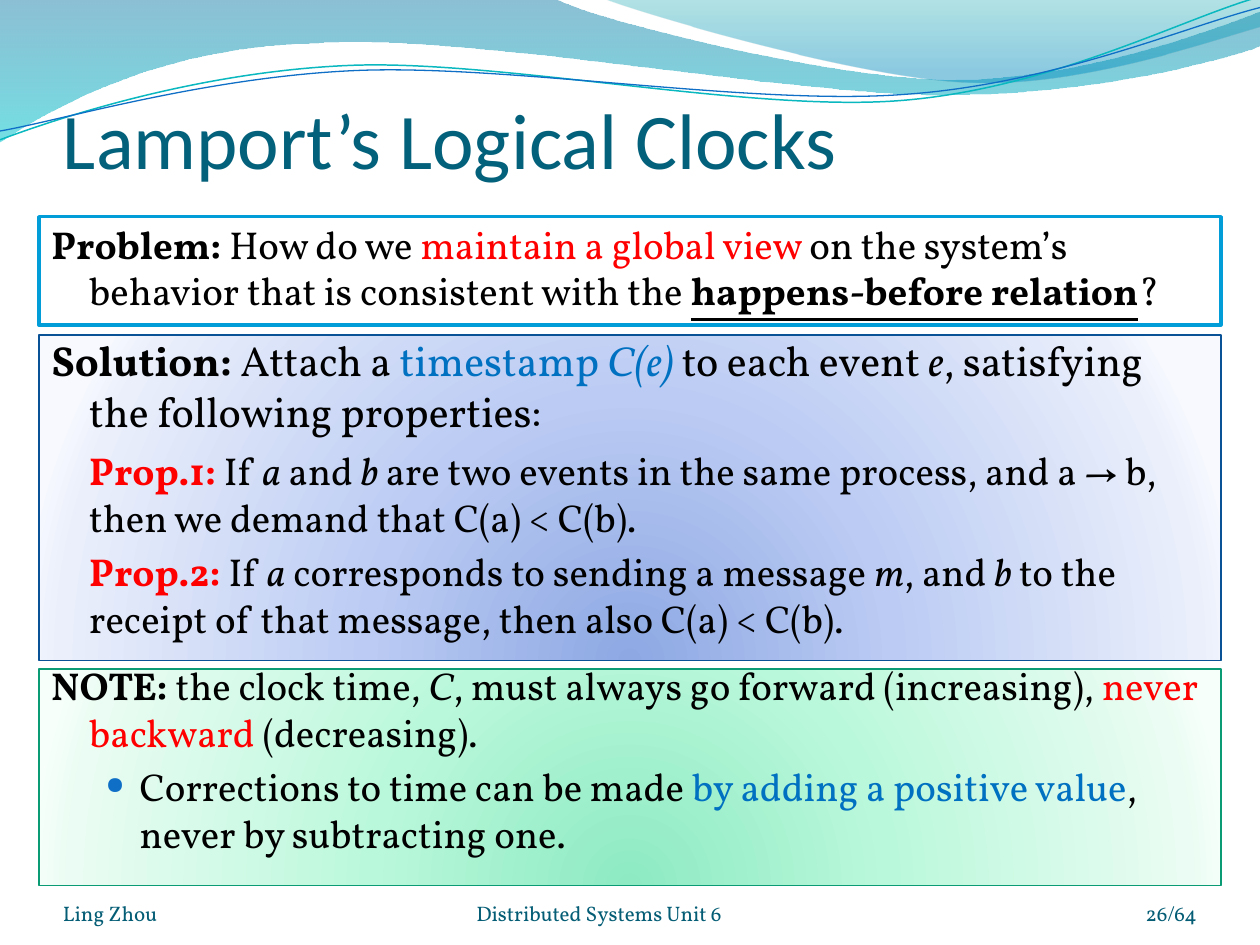
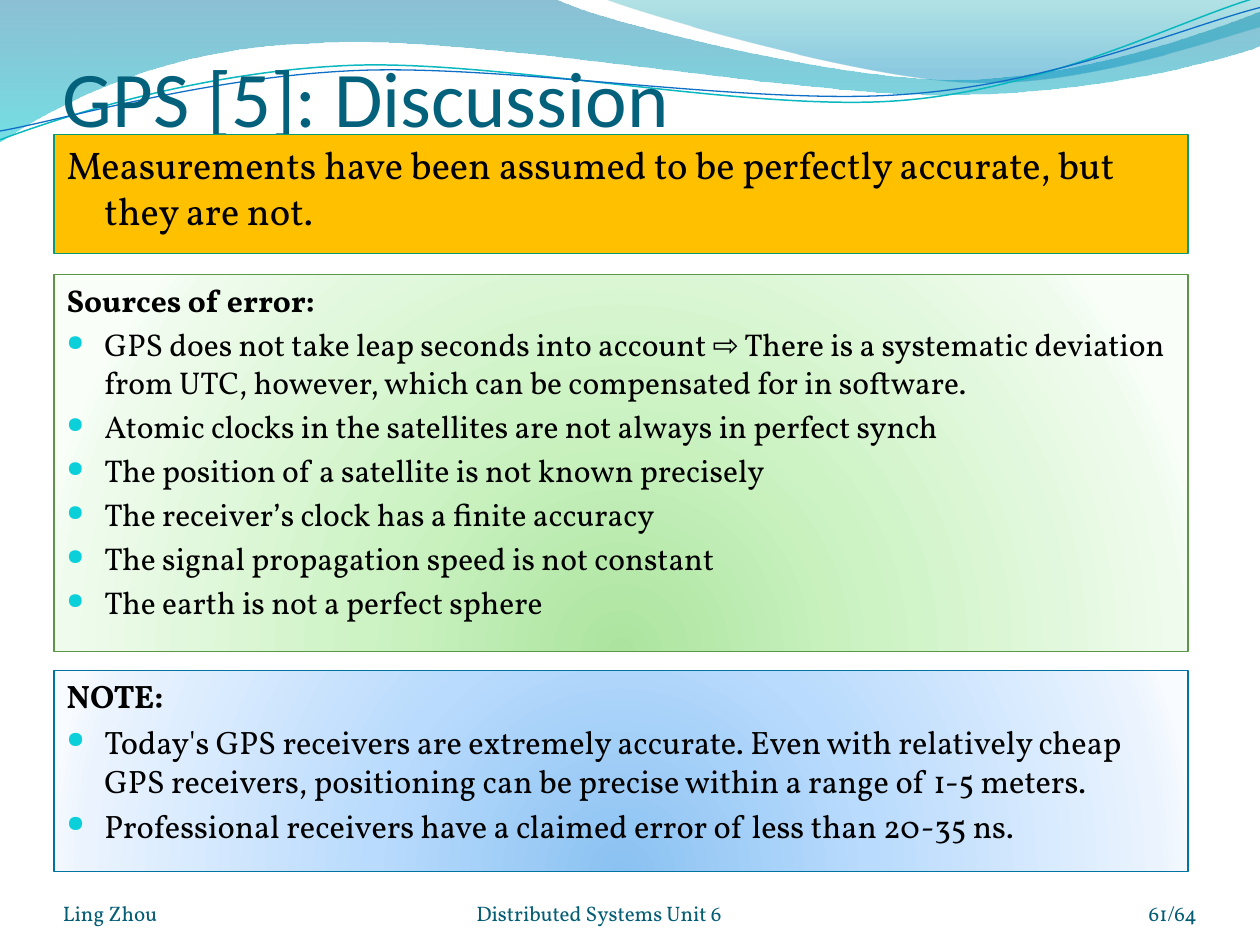
from dataclasses import dataclass

import lxml.etree
import pptx
import pptx.dml.color
import pptx.enum.shapes
import pptx.enum.text
import pptx.oxml.ns
import pptx.util

Inches, Pt = pptx.util.Inches, pptx.util.Pt
qn = pptx.oxml.ns.qn
ALIGN, ANCHOR = pptx.enum.text.PP_ALIGN, pptx.enum.text.MSO_ANCHOR


@dataclass(frozen=True)
class Theme:
    title_font: str = "Calibri"
    body_font: str = "Vollkorn"
    title_size: float = 45
    large_size: float = 24
    footer_size: float = 12
    title: str = "04617B"
    footer: str = "045D75"
    text: str = "000000"
    red: str = "FF0000"
    blue: str = "0070C0"
    bullet: str = "0BD0D9"
    sub_bullet: str = "0F6FC6"


@dataclass(frozen=True)
class Panel:
    """Look of a panel: one fill colour or the colours of a glow, and its edge."""
    fill: tuple
    line: str
    width: float = 0.75


THEME = Theme()
GLOW_STOPS = (0, 43, 93, 100)
WHITE = Panel(("FFFFFF",), "009DD9", 2)
AMBER = Panel(("FFC000",), "0A9B74")
MINT = Panel(("8DEAC2", "BAF8DB", "EAFCF3", "F7FFFB"), "0A9B74")
INDIGO = Panel(("8DA8E3", "BBCBF3", "EAEFFB", "F7F9FF"), "095295")
GREEN = Panel(("ACE49F", "CDF3C4", "EFFBED", "F9FFF8"), "5B9747")
SKY = Panel(("8BC2F1", "B9DBFD", "EAF3FE", "F8FBFF"), "0074A1")

# Each outline: a start point, then lines (2 numbers) and Bezier curves (6 numbers).
WAVE_BANDS = [
    ([(0, 0), (4.4, -0.01), (4.76, 0.17, 6.64, 0.63, 7.58, 0.63),
      (8.53, 0.63, 9.58, 0.26, 10, 0.09), (10.01, 0.36),
      (9.83, 0.44, 8.7, 0.76, 7.46, 0.75), (6.22, 0.75, 3.82, 0.28, 2.57, 0.34),
      (1.29, 0.36, 0.46, 0.83, -0.01, 1.13), (0, 0)],
     [(0, "0074A1", 45), (100, "00C6CF", 55)]),
    ([(4.79, -0.01), (5.09, 0.11, 6.82, 0.62, 7.69, 0.65),
      (8.56, 0.69, 9.61, 0.32, 10, 0.21), (10, 0), (4.79, -0.01)],
     [(0, "00A1A9", 30), (80, "008BBF", 45)]),
]
WAVE_LINES = [
    ([(0, 1.11), (0.48, 0.93, 1.58, 0.57, 2.77, 0.52),
      (3.95, 0.47, 5.93, 0.89, 7.13, 0.8), (8.33, 0.71, 9.38, 0.15, 9.98, -0.02)],
     "0AB8BF", 0.85),
    ([(0, 1.04), (0.47, 0.96, 1.64, 0.61, 2.83, 0.56),
      (4.03, 0.51, 5.97, 0.84, 7.17, 0.75), (8.36, 0.67, 9.41, 0.21, 10, 0.06)],
     "0F6FC6", 0.75),
]


def rgb(value):
    return pptx.dml.color.RGBColor.from_string(value)


def add_node(parent, tag, **attrs):
    node = lxml.etree.SubElement(parent, qn(tag))
    for key, value in attrs.items():
        node.set(key, str(value))
    return node


def add_color(parent, color, alpha=100):
    node = add_node(parent, "a:srgbClr", val=color)
    if alpha < 100:
        add_node(node, "a:alpha", val=alpha * 1000)


def set_gradient(sp, stops, glow=False):
    """Fill from top to bottom, or as a glow centred below the shape."""
    sp.fill.gradient()
    grad = sp._element.spPr.find(qn("a:gradFill"))
    for child in list(grad):
        grad.remove(child)
    stop_list = add_node(grad, "a:gsLst")
    for position, color, alpha in stops:
        add_color(add_node(stop_list, "a:gs", pos=position * 1000), color, alpha)
    if glow:
        circle = add_node(grad, "a:path", path="circle")
        add_node(circle, "a:fillToRect", l=50000, t=130000, r=50000, b=-30000)
    else:
        add_node(grad, "a:lin", ang=5400000, scaled=1)


def add_outline(slide, outline, close):
    """Lay all points as straight segments, then join threes into curves."""
    points = [(Inches(seg[i]), Inches(seg[i + 1]))
              for seg in outline for i in range(0, len(seg), 2)]
    builder = slide.shapes.build_freeform(*points[0])
    builder.add_line_segments(points[1:], close=close)
    sp = builder.convert_to_shape()
    sp.shadow.inherit = False
    steps = sp._element.spPr.findall(".//" + qn("a:lnTo"))
    for seg in outline[1:]:
        group, steps = steps[:len(seg) // 2], steps[len(seg) // 2:]
        if len(group) == 3:
            curve = lxml.etree.Element(qn("a:cubicBezTo"))
            group[0].addprevious(curve)
            for step in group:
                curve.append(step[0])
                step.getparent().remove(step)
    return sp


def add_waves(slide):
    for outline, stops in WAVE_BANDS:
        sp = add_outline(slide, outline, close=True)
        set_gradient(sp, stops)
        sp.line.fill.background()
    for outline, color, width in WAVE_LINES:
        sp = add_outline(slide, outline, close=False)
        sp.fill.background()
        sp.line.color.rgb = rgb(color)
        sp.line.width = Pt(width)


def add_panel(slide, box, look):
    sp = slide.shapes.add_shape(pptx.enum.shapes.MSO_SHAPE.RECTANGLE,
                                *map(Inches, box))
    sp.shadow.inherit = False
    if len(look.fill) == 1:
        sp.fill.solid()
        sp.fill.fore_color.rgb = rgb(look.fill[0])
    else:
        set_gradient(sp, [(s, c, 100) for s, c in zip(GLOW_STOPS, look.fill)], glow=True)
    sp.line.color.rgb = rgb(look.line)
    sp.line.width = Pt(look.width)
    return sp


def add_label(slide, box, text, size, font, color, align=ALIGN.LEFT, top_inset=0):
    tf = slide.shapes.add_textbox(*map(Inches, box)).text_frame
    tf.word_wrap = True
    tf.vertical_anchor = ANCHOR.BOTTOM
    tf.margin_left = tf.margin_right = tf.margin_bottom = 0
    tf.margin_top = Inches(top_inset)
    tf.text = text
    p = tf.paragraphs[0]
    p.alignment = align
    f = p.runs[0].font
    f.size, f.name, f.color.rgb = Pt(size), font, rgb(color)


def add_title(slide, box, text):
    add_label(slide, box, text, THEME.title_size, THEME.title_font, THEME.title,
              top_inset=0.05)


def add_footer(slide, number):
    for left, width, text, align in [
            (0.5, 2.33, "Ling Zhou", ALIGN.LEFT),
            (2.92, 3.67, "Distributed Systems Unit 6", ALIGN.CENTER),
            (8.67, 0.83, f"{number}/64", ALIGN.RIGHT)]:
        add_label(slide, (left, 6.95, width, 0.4), text, THEME.footer_size,
                  THEME.body_font, THEME.footer, align)


def write_paragraphs(sp, paragraphs):
    """Each paragraph: kind, size, runs; a run is its text and a list of styles."""
    tf = sp.text_frame
    tf.word_wrap = True
    tf.vertical_anchor = ANCHOR.TOP
    kinds = {  # margin, first-line indent, bullet colour, bullet size
        "heading": (0.3, -0.3, None, None),
        "hanging": (0.3, -0.3, None, None),
        "bullet": (0.3, -0.3, THEME.bullet, 70),
        "sub": (0.7, -0.27, THEME.sub_bullet, 62),
    }
    for n, (kind, size, runs) in enumerate(paragraphs):
        p = tf.add_paragraph() if n else tf.paragraphs[0]
        margin, indent, color, percent = kinds[kind]
        p.alignment = ALIGN.LEFT
        p.level = 1 if kind == "sub" else 0
        p.space_before = Pt(12 if kind == "heading" else round(0.2 * size, 1))
        pPr = p._p.get_or_add_pPr()
        pPr.set("marL", str(Inches(margin)))
        pPr.set("indent", str(Inches(indent)))
        if color:
            add_color(add_node(pPr, "a:buClr"), color)
            add_node(pPr, "a:buSzPct", val=percent * 1000)
            add_node(pPr, "a:buChar", char="●")
        for text, styles in runs:
            r = p.add_run()
            r.text = text
            f = r.font
            f.size = Pt(THEME.large_size if "large" in styles else size)
            f.name = THEME.body_font
            f.bold, f.italic = "bold" in styles, "italic" in styles
            f.underline = "underline" in styles
            f.color.rgb = rgb(THEME.red if "red" in styles else
                              THEME.blue if "blue" in styles else THEME.text)


def plain(kind, size, text, styles=""):
    return kind, size, [(text, styles)]


def add_base(prs):
    slide = prs.slides.add_slide(prs.slide_layouts[6])
    add_waves(slide)
    return slide


def build_logical_clocks(prs):
    slide = add_base(prs)
    left, width = 0.31, 9.38
    for top, height, look in [(5.31, 1.72, MINT), (2.66, 2.58, INDIGO),
                              (1.72, 0.86, WHITE)]:
        add_panel(slide, (left, top, width, height), look)
    add_title(slide, (0.5, 0.77, 9, 0.7), "Lamport’s Logical Clocks")
    body = slide.shapes.add_textbox(*map(Inches, (left, 1.7, width, 5.43)))
    size = 22.2
    write_paragraphs(body, [
        ("hanging", size, [
            ("Problem: ", "bold"), ("How do we ", ""),
            ("maintain a global view ", "red"),
            ("on the system’s behavior that is consistent with the ", ""),
            ("happens-before relation", "bold underline"), ("?", "")]),
        ("heading", THEME.large_size, [
            ("Solution: ", "bold"), ("Attach a ", ""), ("timestamp ", "blue"),
            ("C(e) ", "blue italic"), ("to each event ", ""), ("e", "italic"),
            (", satisfying the following properties:", "")]),
        ("hanging", size, [
            ("\t", "blue large"), ("Prop.1: ", "bold red"), ("If ", ""),
            ("a", "italic"), (" and ", ""), ("b", "italic"),
            (" are two events in the same process, and a → b, "
             "then we demand that C(a) < C(b).", "")]),
        ("hanging", size, [
            ("\t", "blue"), ("Prop.2: ", "bold red"), ("If ", ""), ("a", "italic"),
            (" corresponds to sending a message ", ""), ("m", "italic"),
            (", and ", ""), ("b", "italic"),
            (" to the receipt of that message, then also C(a) < C(b).", "")]),
        ("heading", size, [
            ("NOTE: ", "bold"), ("the clock time, ", ""), ("C", "italic"),
            (", must always go forward (increasing), ", ""),
            ("never backward ", "red"), ("(decreasing).", "")]),
        ("sub", size, [
            ("Corrections to time can be made ", ""),
            ("by adding a positive value", "blue"),
            (", never by subtracting one.", "")]),
    ])
    add_footer(slide, 26)


def build_gps_discussion(prs):
    slide = add_base(prs)
    add_title(slide, (0.5, 0.29, 9, 0.85), "GPS [5]: Discussion")
    left, width = 0.43, 9
    claim = plain("hanging", 22, "Measurements have been assumed to be perfectly "
                                 "accurate, but they are not.")
    errors = [
        "GPS does not take leap seconds into account ⇨ There is a systematic "
        "deviation from UTC, however, which can be compensated for in software.",
        "Atomic clocks in the satellites are not always in perfect synch",
        "The position of a satellite is not known precisely",
        "The receiver’s clock has a finite accuracy",
        "The signal propagation speed is not constant",
        "The earth is not a perfect sphere",
    ]
    notes = [
        "Today's GPS receivers are extremely accurate. Even with relatively cheap "
        "GPS receivers, positioning can be precise within a range of 1-5 meters.",
        "Professional receivers have a claimed error of less than 20-35 ns.",
    ]
    write_paragraphs(add_panel(slide, (left, 1.07, width, 0.94), AMBER), [claim])
    for top, height, look, size, heading, items in [
            (2.18, 2.99, GREEN, 18, "Sources of error:", errors),
            (5.32, 1.6, SKY, 18.5, "NOTE:", notes)]:
        sp = add_panel(slide, (left, top, width, height), look)
        write_paragraphs(sp, [plain("heading", size, heading, "bold")] +
                         [plain("bullet", size, item) for item in items])
    add_footer(slide, 61)


def main():
    prs = pptx.Presentation()
    prs.slide_width, prs.slide_height = Inches(10), Inches(7.5)
    build_logical_clocks(prs)
    build_gps_discussion(prs)
    prs.save("out.pptx")


if __name__ == "__main__":
    main()
